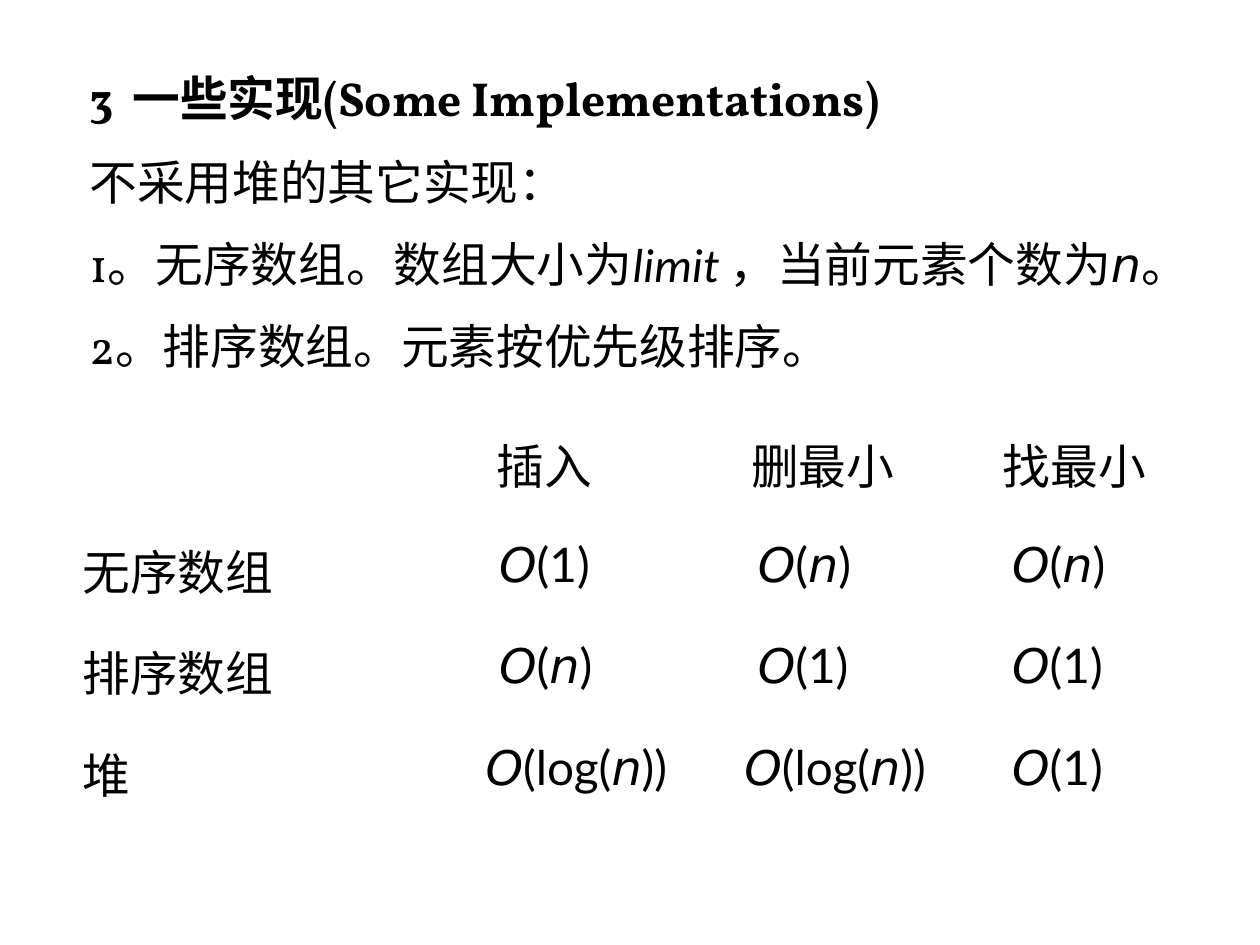
from pptx import Presentation
from pptx.dml.color import RGBColor
from pptx.enum.text import MSO_ANCHOR, MSO_AUTO_SIZE, PP_ALIGN
from pptx.oxml.ns import qn
from pptx.util import Cm, Pt
from lxml.etree import SubElement

SERIF, SANS, MATH, TERM = "Vollkorn", "Lato", "DejaVu Sans", "Calibri"


def color(code):
    return RGBColor.from_string(code)


class Deck:
    size = Pt(40)
    ink = "000000"

    def __init__(self, wide, high):
        self.file = Presentation()
        self.file.slide_width = Cm(wide)
        self.file.slide_height = Cm(high)
        self.slide = self.file.slides.add_slide(self.file.slide_layouts[1])

    def place(self, shape, left, top, wide, high):
        shape.left, shape.top = Cm(left), Cm(top)
        shape.width, shape.height = Cm(wide), Cm(high)
        frame = shape.text_frame
        frame.word_wrap = True
        frame.auto_size = MSO_AUTO_SIZE.NONE
        frame.vertical_anchor = MSO_ANCHOR.TOP
        return frame

    def fill_line(self, para, runs, indent, bold=False):
        para.alignment = PP_ALIGN.LEFT
        props = para._p.get_or_add_pPr()
        props.set("marL", str(Cm(indent)))
        props.set("indent", "0")
        SubElement(props, qn("a:buNone"))
        for text, face, slant in runs:
            run = para.add_run()
            run.text = text
            font = run.font
            font.name, font.size = face, self.size
            font.bold, font.italic = bold, slant
            font.color.rgb = color(self.ink)

    def title(self, runs, box, tab):
        para = self.place(self.slide.shapes.title, *box).paragraphs[0]
        self.fill_line(para, runs, 0.05, True)
        stops = SubElement(para._p.pPr, qn("a:tabLst"))
        SubElement(stops, qn("a:tab"), pos=str(Cm(tab)), algn="l")

    def body(self, lines, box):
        frame = self.place(self.slide.placeholders[1], *box)
        for index, runs in enumerate(lines):
            para = frame.add_paragraph() if index else frame.paragraphs[0]
            para.line_spacing = 1.03
            para.space_before = Pt(19.2 if index else 0)
            self.fill_line(para, runs, 0.05)

    def table(self, rows, indents, left, top, widths, heights):
        shape = self.slide.shapes.add_table(
            len(rows), len(widths), Cm(left), Cm(top),
            Cm(sum(widths)), Cm(sum(heights)))
        grid = shape.table
        grid.first_row = grid.horz_banding = False
        for col, wide in zip(grid.columns, widths):
            col.width = Cm(wide)
        for row, high, cells, shifts in zip(grid.rows, heights, rows, indents):
            row.height = Cm(high)
            for cell, runs, shift in zip(row.cells, cells, shifts):
                cell.fill.background()
                cell.margin_left = cell.margin_right = 0
                cell.margin_top = cell.margin_bottom = 0
                self.fill_line(cell.text_frame.paragraphs[0], runs, shift)

    def save(self):
        self.file.save("out.pptx")


def plain(text):
    return [(text, SERIF, False)]


def order(*parts):
    faces = {"n": (MATH, True)}
    return [("O", MATH, True)] + [
        (part, *faces.get(part, (SANS, False))) for part in parts]


def main():
    deck = Deck(37.26, 27.94)
    left, wide = 2.34, 33.45
    deck.title(plain("3\t一些实现(Some Implementations)"),
               (left, 1.9, wide, 2.4), 2.2)
    deck.body([
        plain("不采用堆的其它实现："),
        plain("1。无序数组。数组大小为") + [("limit ", TERM, True)]
        + plain("，当前元素个数为") + [("n", MATH, True)] + plain("。"),
        plain("2。排序数组。元素按优先级排序。"),
    ], (left, 4.34, wide, 6.76))

    const = order("(1)")
    linear = order("(", "n", ")")
    log = order("(log(", "n", "))")
    rows = [
        [[], plain("插入"), plain("删最小"), plain("找最小")],
        [plain("无序数组"), const, linear, linear],
        [plain("排序数组"), linear, const, const],
        [plain("堆"), log, log, const],
    ]
    indents = [
        (0, 0.5, 0.38, 0.18),
        (0.1, 0.58, 0.58, 0.45),
        (0.1, 0.58, 0.58, 0.45),
        (0.1, 0.18, 0.18, 0.45),
    ]
    deck.table(rows, indents, left, 12.7,
               (11.84, 7.65, 7.65, 6.32), (3.12, 3, 3, 3.15))
    deck.save()


if __name__ == "__main__":
    main()
